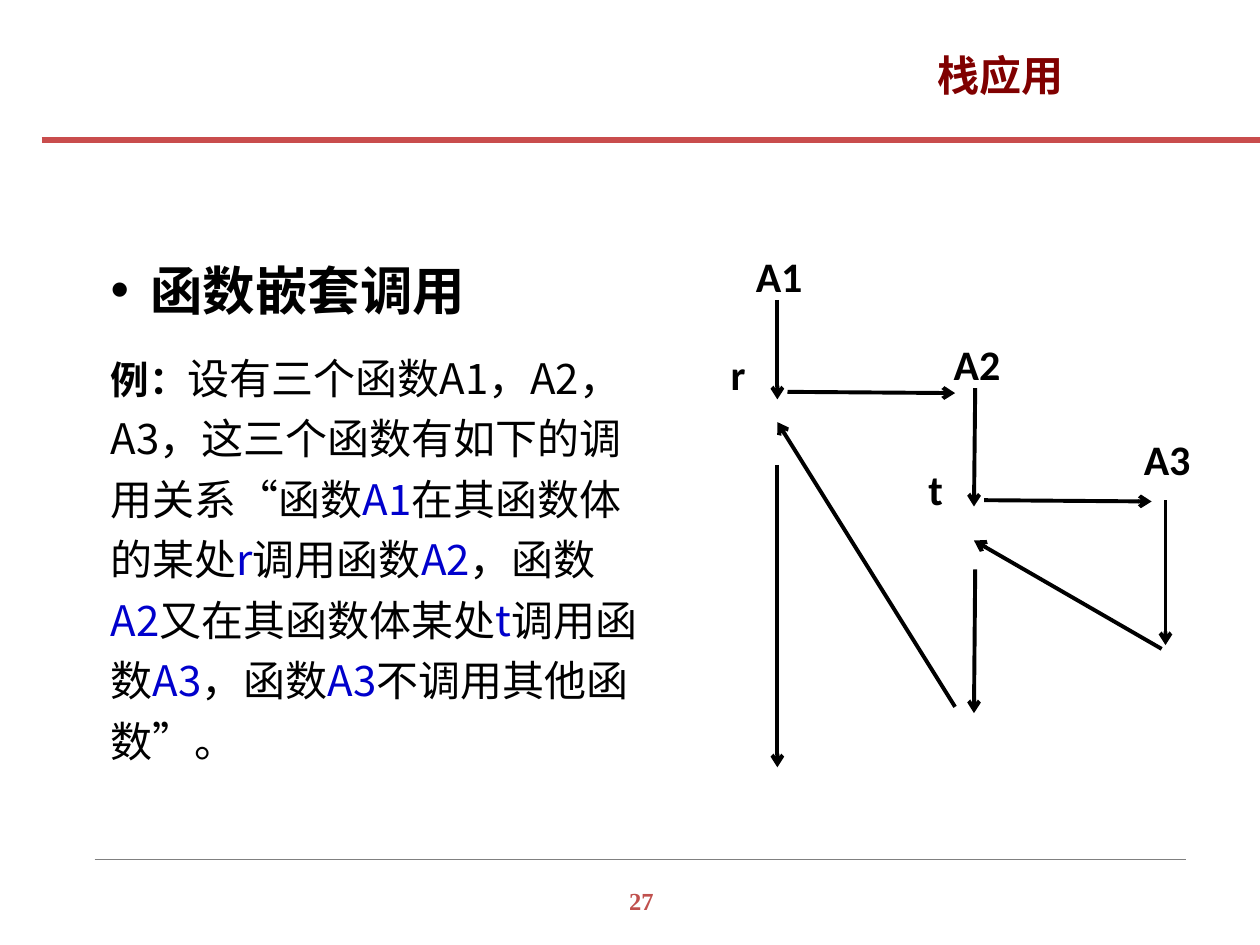
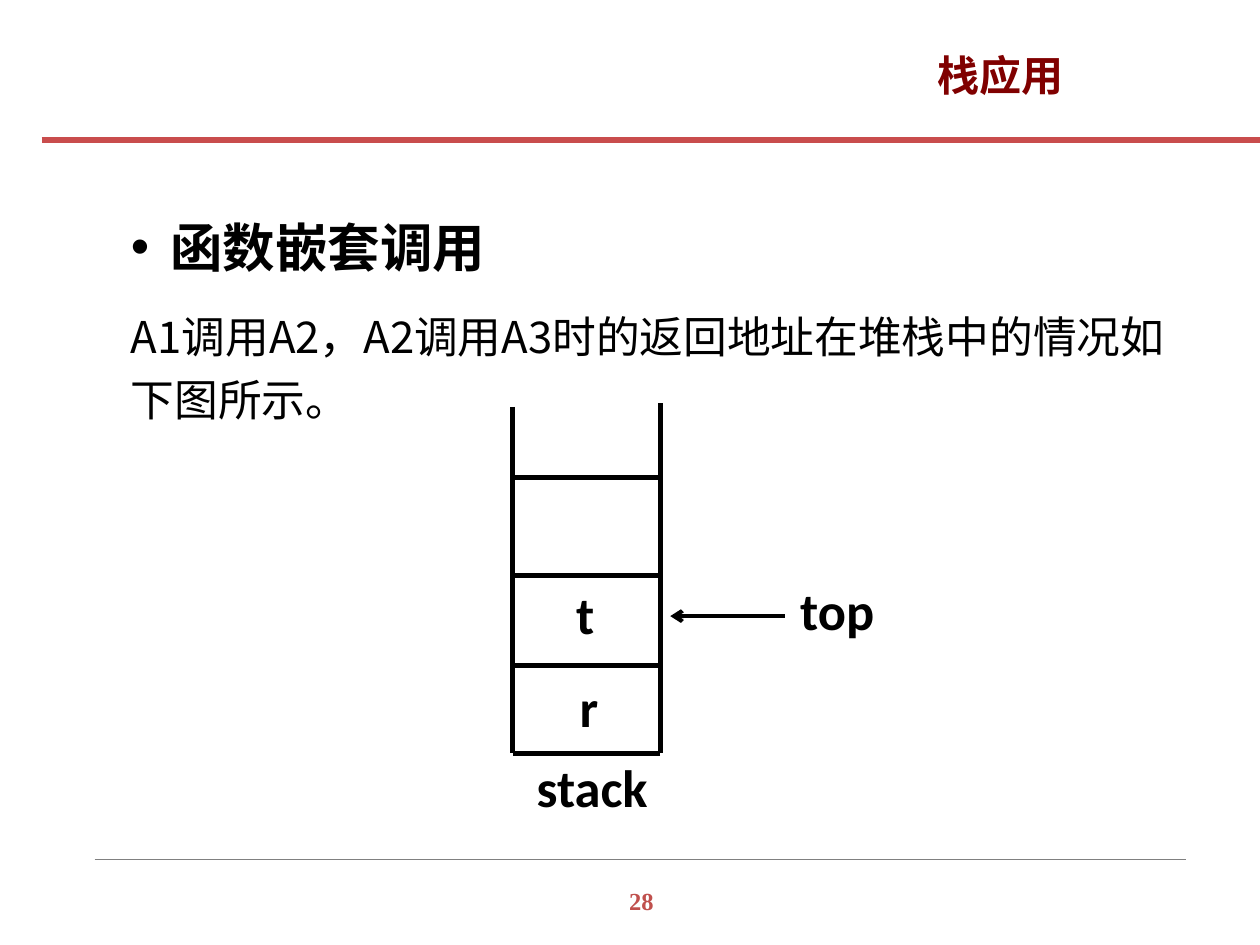
from lxml.etree import SubElement
from pptx import Presentation
from pptx.dml.color import RGBColor
from pptx.enum.shapes import MSO_CONNECTOR
from pptx.enum.text import MSO_AUTO_SIZE as AutoSize, PP_ALIGN as Align
from pptx.oxml import parse_xml
from pptx.oxml.ns import nsdecls, qn
from pptx.util import Inches, Pt

BLACK = RGBColor(0x00, 0x00, 0x00)
BLUE = RGBColor(0x00, 0x00, 0xCC)
MAROON = RGBColor(0x80, 0x00, 0x00)
BAND_RED = RGBColor(0xC9, 0x4D, 0x4D)
NUMBER_RED = RGBColor(0xC0, 0x50, 0x4D)
FOOTER_GRAY = RGBColor(0x80, 0x80, 0x80)
CJK = "Noto Sans CJK SC"
SERIF = "Times New Roman"
LABEL = "Calibri"


def write(slide, box, paragraphs, align=Align.LEFT, wrap=True):
    frame = slide.shapes.add_textbox(*map(Inches, box)).text_frame
    frame.word_wrap = wrap
    frame.auto_size = AutoSize.SHAPE_TO_FIT_TEXT if wrap else AutoSize.NONE
    for index, runs in enumerate(paragraphs):
        paragraph = frame.add_paragraph() if index else frame.paragraphs[0]
        paragraph.alignment = align
        for text, size, font, color, bold in runs:
            run = paragraph.add_run()
            run.text = text
            run.font.size = Pt(size)
            run.font.bold = bold
            run.font.color.rgb = color
            run.font.name = font
            east_asian = SubElement(run.font._element, qn("a:ea"))
            east_asian.set("typeface", CJK)
    return frame


def draw_line(slide, start, end, width, color=BLACK, arrow=False):
    line = slide.shapes.add_connector(
        MSO_CONNECTOR.STRAIGHT, *map(Inches, start + end))
    line.line.width = Pt(width)
    line.line.color.rgb = color
    if arrow:
        SubElement(line.line._get_or_add_ln(), qn("a:tailEnd"), type="arrow")
    SubElement(line._element.spPr, qn("a:effectLst"))


prs = Presentation()
prs.slide_width, prs.slide_height = Inches(10), Inches(7.5)

call_story = [("例：", 22, CJK, BLACK, True)]
call_phrases = [
    ("设有三个函数A1，A2，A3，这三个函数有如下的调用关系“函数", "A1"),
    ("在其函数体的某处", "r"),
    ("调用函数", "A2"),
    ("，函数", "A2"),
    ("又在其函数体某处", "t"),
    ("调用函数", "A3"),
    ("，函数", "A3"),
]
for phrase, symbol in call_phrases:
    call_story.append((phrase, 24, CJK, BLACK, False))
    call_story.append((symbol, 24, CJK, BLUE, False))
call_story.append(("不调用其他函数”。", 24, CJK, BLACK, False))

stack_story = [("A1调用A2，A2调用A3时的返回地址在堆栈中的情况如下图所示。",
                25, CJK, BLACK, False)]

pages = [
    ("27", (0.78, 1.9, 4.38, 4.23), call_story),
    ("28", (0.94, 1.56, 8.52, 1.87), stack_story),
]
slides = []
for number, body_box, story in pages:
    slide = prs.slides.add_slide(prs.slide_layouts[6])
    slides.append(slide)
    draw_line(slide, (0.75, 6.82), (9.41, 6.82), 0.25, FOOTER_GRAY)
    footer = write(slide, (4.84, 6.98, 0.5, 0.34),
                   [[(number, 14, SERIF, NUMBER_RED, True)]], Align.CENTER)
    footer.paragraphs[0].space_before = Pt(8.8)
    draw_line(slide, (0.33, 1.11), (10, 1.11), 3.5, BAND_RED)

    title = write(slide, (7.34, 0.34, 2.39, 0.58),
                  [[("栈应用", 24, CJK, MAROON, True)]], wrap=False)
    title.paragraphs[0].runs[0].font._element.insert(0, parse_xml(
        f'<a:ln {nsdecls("a")} w="{Pt(0.75)}"><a:solidFill>'
        f'<a:srgbClr val="{BAND_RED}"/></a:solidFill></a:ln>'))

    body = write(slide, body_box,
                 [[(" 函数嵌套调用", 30, SERIF, BLACK, True)], story])
    heading, detail = body.paragraphs
    heading.line_spacing = detail.line_spacing = 1.2
    detail.space_before = Pt(12)
    bullet = heading._p.get_or_add_pPr()
    bullet.set("marL", str(Inches(0.22)))
    bullet.set("indent", str(-Inches(0.22)))
    SubElement(SubElement(bullet, qn("a:buClr")), qn("a:srgbClr"), val=str(BLACK))
    SubElement(bullet, qn("a:buFont"), typeface="Arial")
    SubElement(bullet, qn("a:buChar"), char="•")

calls, stack = slides

call_labels = [
    ("A1", 5.9, 1.94), ("r", 5.7, 2.72), ("A2", 7.47, 2.64),
    ("t", 7.27, 3.63), ("A3", 8.98, 3.39),
]
for text, left, top in call_labels:
    write(calls, (left, top, 0.63, 0.5), [[(text, 24, LABEL, BLACK, True)]])

call_arrows = [
    ((6.17, 2.38), (6.17, 3.17)),
    ((6.25, 3.11), (7.58, 3.12)),
    ((7.74, 3.08), (7.73, 4.02)),
    ((7.81, 3.97), (9.14, 3.98)),
    ((9.25, 3.97), (9.25, 5.12)),
    ((9.22, 5.15), (7.73, 4.29)),
    ((7.74, 4.52), (7.73, 5.66)),
    ((7.58, 5.61), (6.17, 3.35)),
    ((6.17, 3.69), (6.17, 6.09)),
]
for start, end in call_arrows:
    draw_line(calls, start, end, 2.25, arrow=True)

stack_left, stack_right, stack_bottom = 4.07, 5.24, 5.98
for wall_x, wall_top in ((stack_left, 3.23), (stack_right, 3.2)):
    draw_line(stack, (wall_x, wall_top), (wall_x, stack_bottom), 3)
for cell_y in (3.79, 4.57, 5.28, stack_bottom):
    draw_line(stack, (stack_right, cell_y), (stack_left, cell_y), 3)
draw_line(stack, (6.23, 4.89), (5.32, 4.89), 2.25, arrow=True)

stack_labels = [
    ("r", 4.4, 5.31, 0.55), ("t", 4.37, 4.57, 0.55),
    ("top", 6.1, 4.54, 1.09), ("stack", 4.09, 5.94, 1.22),
]
for text, left, top, width in stack_labels:
    write(stack, (left, top, width, 0.6),
          [[(text, 30, LABEL, BLACK, True)]], Align.CENTER)

prs.save("out.pptx")
